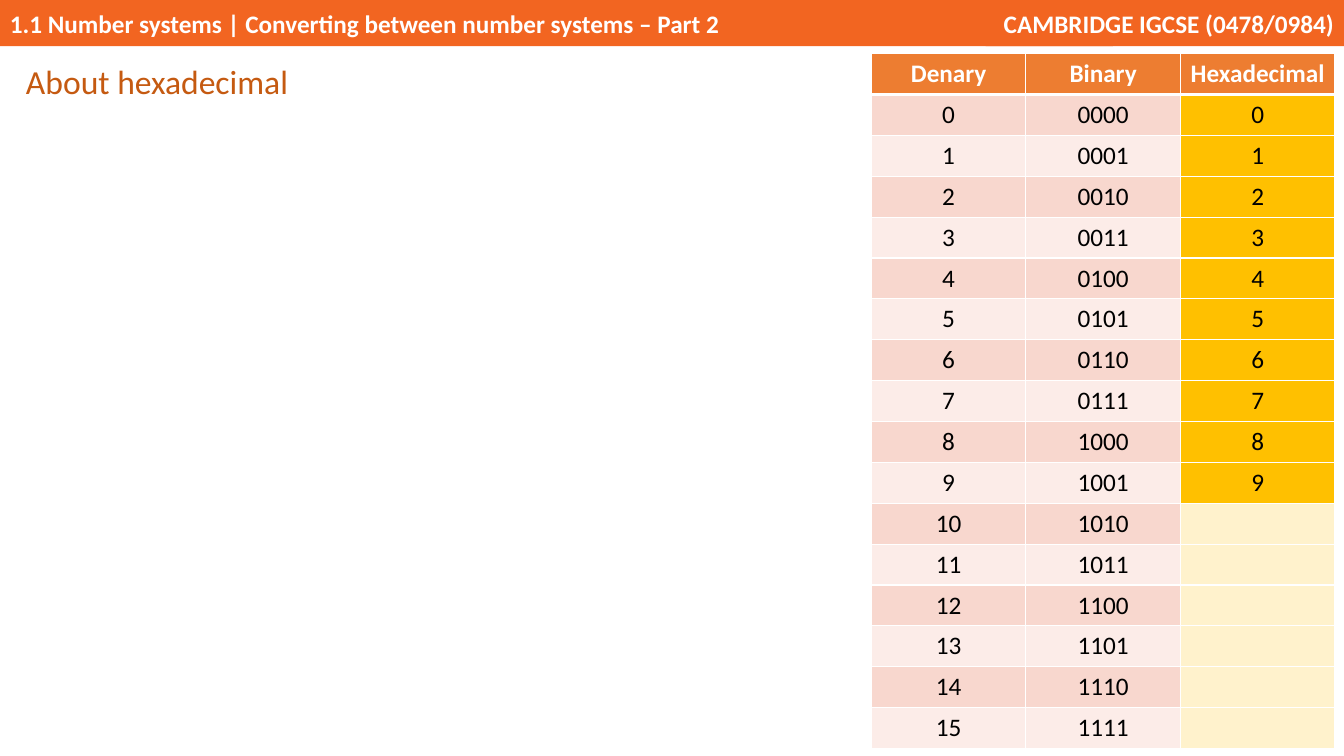
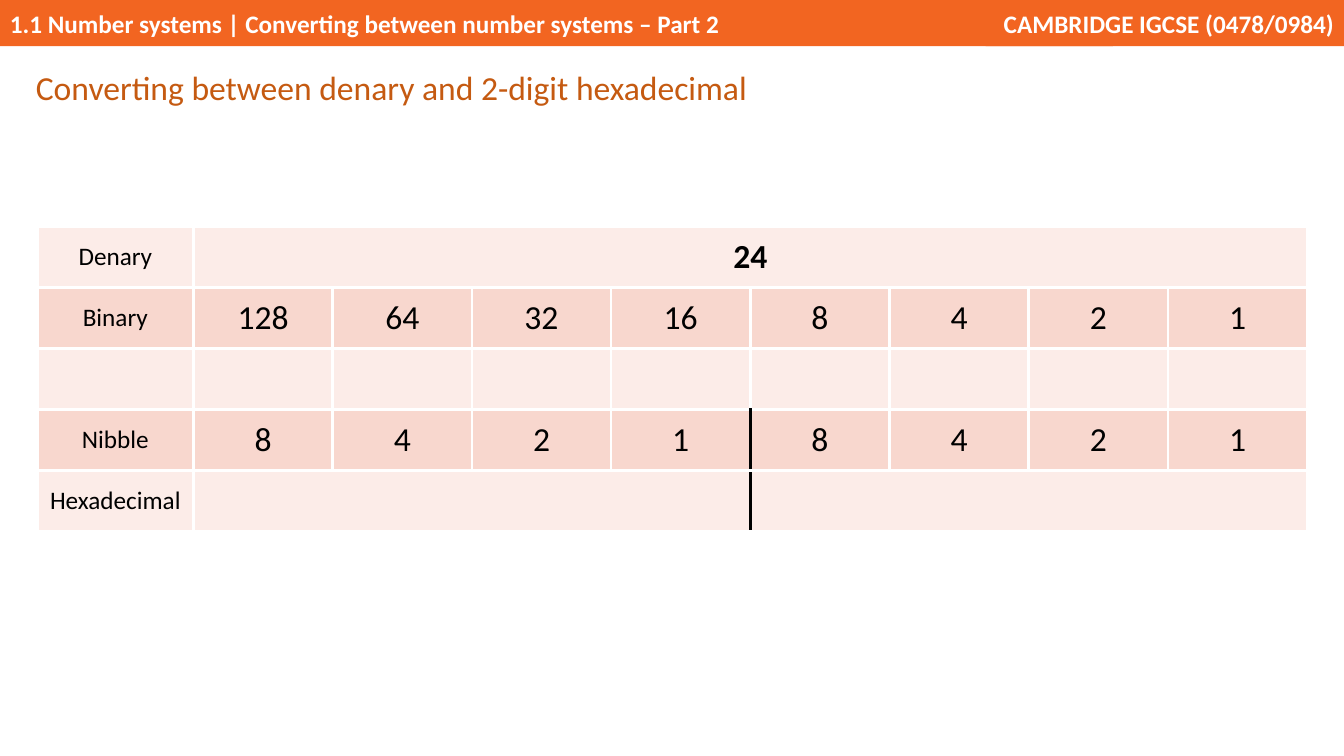
from dataclasses import dataclass
from lxml import etree
from pptx import Presentation
from pptx.dml.color import RGBColor
from pptx.enum import shapes, text
from pptx.oxml import ns
from pptx.util import Pt


@dataclass(frozen=True)
class Theme:
    font: str = "Calibri"
    band: str = "F26521"
    title: str = "C55A11"
    header: str = "ED7D31"
    dark_row: str = "F8D7CE"
    light_row: str = "FCECE8"
    known: str = "FFC000"
    unknown: str = "FFF2CC"
    white: str = "FFFFFF"
    black: str = "000000"
    body_size: int = 18
    title_size: int = 24


THEME = Theme()
SLIDE_WIDTH, SLIDE_HEIGHT = 960, 540
BAND_HEIGHT = 33
SIDES = ("L", "R", "T", "B")


def points(box):
    return [Pt(length) for length in box]


def write(frame, words, size, color, bold=False, align=text.PP_ALIGN.LEFT):
    paragraph = frame.paragraphs[0]
    paragraph.text = words
    paragraph.alignment = align
    paragraph.font.name = THEME.font
    paragraph.font.size = Pt(size)
    paragraph.font.bold = bold
    paragraph.font.color.rgb = RGBColor.from_string(color)
    return paragraph


def add_band(slide, box, words, align):
    shape = slide.shapes.add_shape(shapes.MSO_SHAPE.RECTANGLE, *points(box))
    shape.shadow.inherit = False
    shape.fill.solid()
    shape.fill.fore_color.rgb = RGBColor.from_string(THEME.band)
    shape.line.fill.background()
    shape.text_frame.vertical_anchor = text.MSO_ANCHOR.MIDDLE
    write(shape.text_frame, words, THEME.body_size, THEME.white, True, align)


def add_title(slide, box, words):
    frame = slide.shapes.add_textbox(*points(box)).text_frame
    frame.word_wrap = True
    paragraph = write(frame, words, THEME.title_size, THEME.title)
    paragraph.line_spacing = 1.07
    paragraph.space_after = Pt(8)


def add_slide(presentation, title_box, title):
    slide = presentation.slides.add_slide(presentation.slide_layouts[6])
    add_band(slide, (0, 0, 795, BAND_HEIGHT),
             "1.1 Number systems | Converting between number systems – Part 2",
             text.PP_ALIGN.LEFT)
    add_band(slide, (704, 0, SLIDE_WIDTH - 704, BAND_HEIGHT),
             "CAMBRIDGE IGCSE (0478/0984)", text.PP_ALIGN.RIGHT)
    add_title(slide, title_box, title)
    return slide


def add_grid(slide, box, row_count, column_widths):
    table = slide.shapes.add_table(row_count, len(column_widths), *points(box)).table
    table.first_row = table.horz_banding = False
    for column, width in zip(table.columns, column_widths):
        column.width = Pt(width)
    for row in table.rows:
        row.height = Pt(box[3] / row_count)
    return table


def set_borders(cell, width, special):
    properties = cell._tc.get_or_add_tcPr()
    for side in SIDES:
        color, side_width = special.get(side, (THEME.white, width))
        line = etree.SubElement(properties, ns.qn(f"a:ln{side}"), w=str(Pt(side_width)))
        fill = etree.SubElement(line, ns.qn("a:solidFill"))
        etree.SubElement(fill, ns.qn("a:srgbClr"), val=color)


def style_cell(cell, words, fill, width, special, size=THEME.body_size,
               color=THEME.black, bold=False):
    set_borders(cell, width, special)
    cell.fill.solid()
    cell.fill.fore_color.rgb = RGBColor.from_string(fill)
    cell.vertical_anchor = text.MSO_ANCHOR.MIDDLE
    write(cell.text_frame, words, size, color, bold, text.PP_ALIGN.CENTER)


def add_number_table(slide, box):
    rows = [("Denary", "Binary", "Hexadecimal")]
    rows += [(str(n), f"{n:04b}", str(n) if n < 10 else "") for n in range(16)]
    table = add_grid(slide, box, len(rows), [box[2] / 3] * 3)
    for r, row in enumerate(rows):
        is_header = r == 0
        special = {0: {"B": (THEME.white, 3)}, 1: {"T": (THEME.white, 3)}}.get(r, {})
        for c, words in enumerate(row):
            if is_header:
                fill = THEME.header
            elif c == 2:
                fill = THEME.known if words else THEME.unknown
            else:
                fill = THEME.dark_row if r % 2 else THEME.light_row
            style_cell(table.cell(r, c), words, fill, 1, special,
                       color=THEME.white if is_header else THEME.black, bold=is_header)


def add_conversion_table(slide, box):
    byte = [str(2 ** n) for n in range(7, -1, -1)]
    blank = [""] * 8
    rows = [
        ["Denary", "24"] + blank[1:],
        ["Binary"] + byte,
        [""] + blank,
        ["Nibble"] + byte[4:] * 2,
        ["Hexadecimal"] + blank,
    ]
    label_width = 111.6
    widths = [label_width] + [(box[2] - label_width) / 8] * 8
    table = add_grid(slide, box, len(rows), widths)
    for r, first, last in ((0, 1, 8), (4, 1, 4), (4, 5, 8)):
        table.cell(r, first).merge(table.cell(r, last))
    divider = (THEME.black, 2.25)
    divided = {(3, 4): "R", (3, 5): "L", (4, 1): "R", (4, 4): "R", (4, 5): "L"}
    for r, row in enumerate(rows):
        for c, words in enumerate(row):
            special = {divided[r, c]: divider} if (r, c) in divided else {}
            style_cell(table.cell(r, c), words,
                       THEME.dark_row if r % 2 else THEME.light_row, 2.25, special,
                       size=THEME.title_size if c else THEME.body_size,
                       bold=r == 0 and c > 0)


def main():
    presentation = Presentation()
    presentation.slide_width = Pt(SLIDE_WIDTH)
    presentation.slide_height = Pt(SLIDE_HEIGHT)
    slide = add_slide(presentation, (11.5, 38, 346, 37), "About hexadecimal")
    add_number_table(slide, (622.4, 38.3, 331.2, 496.4))
    slide = add_slide(presentation, (18.5, 42, 534, 37),
                      "Converting between denary and 2-digit hexadecimal")
    add_conversion_table(slide, (26.6, 162, 907.2, 217.5))
    presentation.save("out.pptx")


if __name__ == "__main__":
    main()
